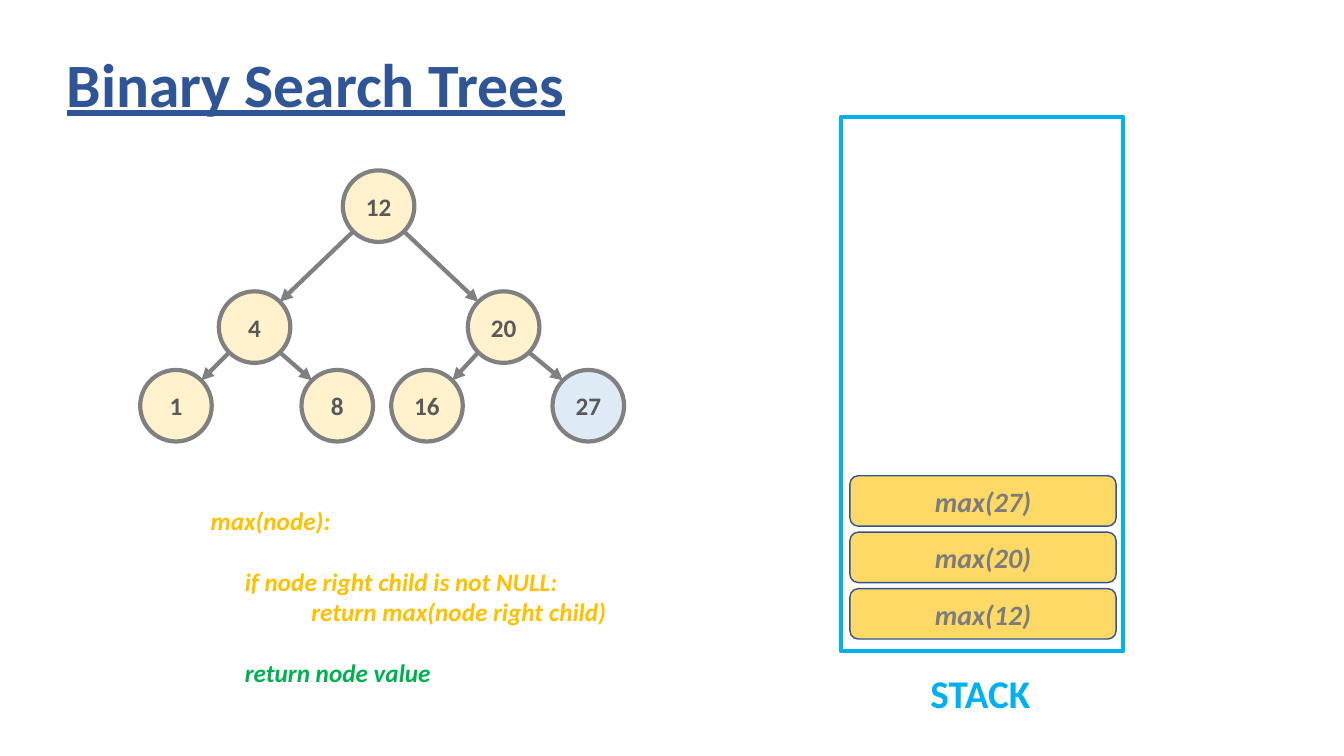
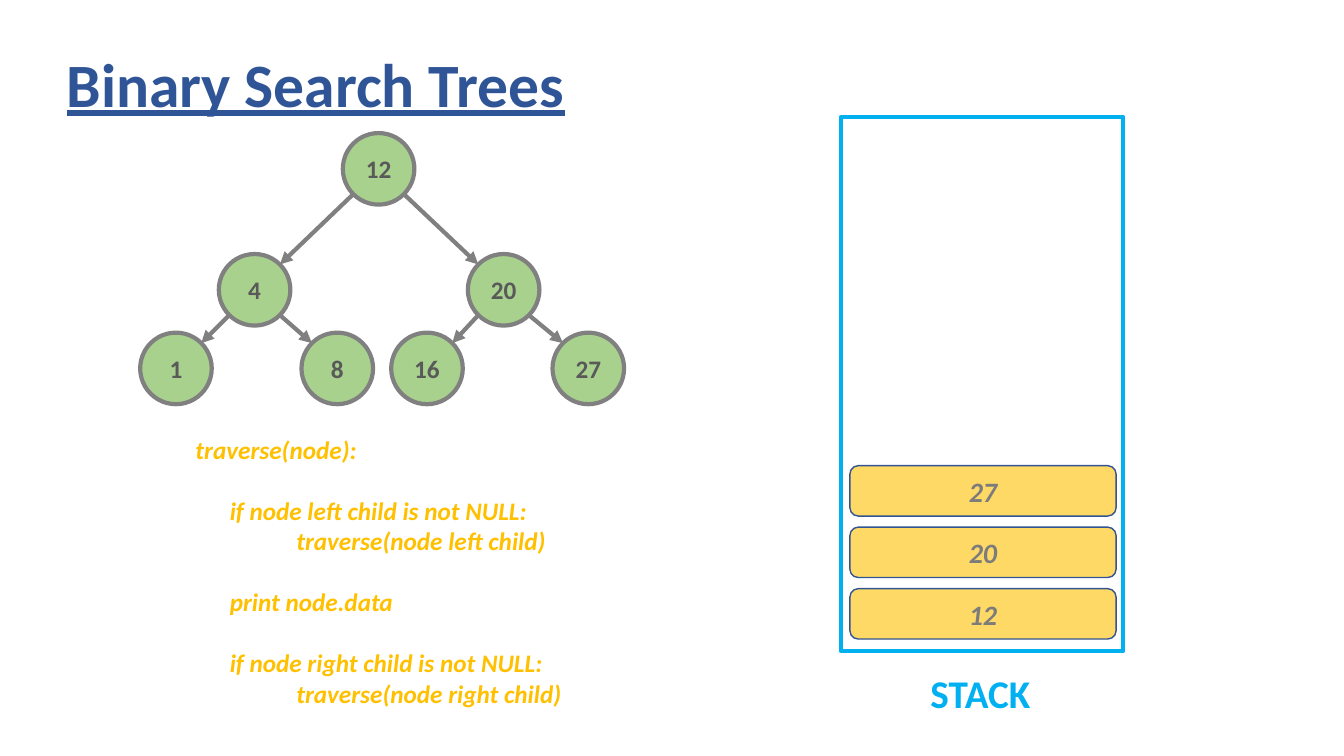
from math import sqrt

from lxml import etree
from pptx import Presentation
from pptx.dml.color import RGBColor
from pptx.enum.shapes import MSO_CONNECTOR, MSO_SHAPE
from pptx.enum.text import MSO_ANCHOR, MSO_AUTO_SIZE, PP_ALIGN
from pptx.oxml.ns import qn
from pptx.util import Inches, Pt

OVAL = MSO_SHAPE.OVAL
RECTANGLE = MSO_SHAPE.RECTANGLE
ROUNDED = MSO_SHAPE.ROUNDED_RECTANGLE
STRAIGHT = MSO_CONNECTOR.STRAIGHT
MIDDLE = MSO_ANCHOR.MIDDLE
NO_AUTOFIT = MSO_AUTO_SIZE.NONE
LEFT = PP_ALIGN.LEFT
CENTER = PP_ALIGN.CENTER

COLORS = {
    "title": "2F5597",
    "stack": "00B0F0",
    "code": "FFC000",
    "active": "00B050",
    "edge": "808080",
    "key": "595959",
    "pending": "FFF2CC",
    "current": "DEEBF7",
    "visited": "A9D18E",
    "frame": "FFD966",
    "frame_line": "325491",
    "frame_text": "7C7C7C",
}
TITLE_FONT = {"size": Pt(44), "bold": True, "underline": True}
LABEL_FONT = {"size": Pt(28), "bold": True}
CODE_FONT = {"size": Pt(18), "bold": True, "italic": True}
KEY_FONT = {"size": Pt(18), "bold": True}
FRAME_FONT = {"size": Pt(20), "bold": True, "italic": True}

NODE_SIZE = 0.71
LEVEL_OFFSETS = [0, 1.2, 1.98]
TREE = {
    12: (3.4, 0, None),
    4: (2.17, 1, 12),
    20: (4.64, 1, 12),
    1: (1.39, 2, 4),
    8: (2.99, 2, 4),
    16: (3.88, 2, 20),
    27: (5.48, 2, 20),
}
FRAME_BOTTOM_TOP = 5.84
CODE_INDENTS = [0, 0.34, 1]
BLANK_LINE = Pt(22)

SLIDES = [
    {
        "tree_top": 1.69,
        "node_color": "pending",
        "highlights": {27: "current"},
        "code_box": (1.99, 4.96, 4.17, 1.92),
        "code": [
            ("max(node):", 0, False, "code"),
            ("if node right child is not NULL:", 1, True, "code"),
            ("return max(node right child)", 2, False, "code"),
            ("return node value", 1, True, "active"),
        ],
        "frames": ["max(12)", "max(20)", "max(27)"],
        "frame_pitch": 0.56,
    },
    {
        "tree_top": 1.32,
        "node_color": "visited",
        "highlights": {},
        "code_box": (1.84, 4.26, 3.85, 2.85),
        "code": [
            ("traverse(node):", 0, False, "code"),
            ("if node left child is not NULL:", 1, True, "code"),
            ("traverse(node left child)", 2, False, "code"),
            ("print node.data", 1, True, "code"),
            ("if node right child is not NULL:", 1, True, "code"),
            ("traverse(node right child)", 2, False, "code"),
        ],
        "frames": ["12", "20", "27"],
        "frame_pitch": 0.61,
    },
]


def rgb(name):
    """Return the palette colour with the given name."""
    return RGBColor.from_string(COLORS[name])


def write(paragraph, text, font_format, color, alignment=LEFT):
    """Put one formatted run of text in a paragraph."""
    paragraph.alignment = alignment
    run = paragraph.add_run()
    run.text = text
    run.font.name = "Calibri"
    run.font.color.rgb = rgb(color)
    for attribute, value in font_format.items():
        setattr(run.font, attribute, value)


def add_title(slide, text):
    """Place and format the title placeholder."""
    title = slide.shapes.title
    box = {"left": 0.56, "top": 0.14, "width": 11.5, "height": 1.45}
    for attribute, value in box.items():
        setattr(title, attribute, Inches(value))
    title.text_frame.auto_size = NO_AUTOFIT
    title.text_frame.vertical_anchor = MIDDLE
    paragraph = title.text_frame.paragraphs[0]
    paragraph.line_spacing = 0.9
    write(paragraph, text, TITLE_FONT, "title")


def add_box(slide, kind, box, fill, line, line_width):
    """Add a preset shape, unfilled when no fill is named."""
    shape = slide.shapes.add_shape(kind, *map(Inches, box))
    shape.shadow.inherit = False
    if fill:
        shape.fill.solid()
        shape.fill.fore_color.rgb = rgb(fill)
    else:
        shape.fill.background()
    shape.line.color.rgb = rgb(line)
    shape.line.width = Pt(line_width)
    shape.text_frame.vertical_anchor = MIDDLE
    return shape


def add_text_frame(slide, box, wrap):
    """Add a text box and return its text frame."""
    text_frame = slide.shapes.add_textbox(*map(Inches, box)).text_frame
    text_frame.word_wrap = wrap
    return text_frame


def add_arrow(slide, start, end):
    """Draw an arrow from one point to another."""
    points = map(Inches, (*start, *end))
    arrow = slide.shapes.add_connector(STRAIGHT, *points)
    arrow.line.color.rgb = rgb("edge")
    arrow.line.width = Pt(3)
    properties = arrow.line._get_or_add_ln()
    etree.SubElement(properties, qn("a:tailEnd"), type="triangle")
    etree.SubElement(arrow._element.spPr, qn("a:effectLst"))


def add_tree(slide, top, node_color, highlights):
    """Draw the nodes of the tree and an arrow from each parent."""
    radius = NODE_SIZE / 2
    diagonal = radius / sqrt(2)
    centers = {}
    for key, (left, level, parent) in TREE.items():
        node_top = top + LEVEL_OFFSETS[level]
        centers[key] = x, y = left + radius, node_top + radius
        box = (left, node_top, NODE_SIZE, NODE_SIZE)
        fill = highlights.get(key, node_color)
        node = add_box(slide, OVAL, box, fill, "edge", 3)
        write(node.text_frame.paragraphs[0], str(key), KEY_FONT, "key", CENTER)
        if parent is not None:
            parent_x, parent_y = centers[parent]
            shift = diagonal if x > parent_x else -diagonal
            start = (parent_x + shift, parent_y + diagonal)
            add_arrow(slide, start, (x - shift, y - diagonal))


def add_code(slide, box, lines):
    """Write pseudocode with indents and gaps between its blocks."""
    text_frame = add_text_frame(slide, box, False)
    for index, (text, level, gap, color) in enumerate(lines):
        paragraph = text_frame.add_paragraph() if index else text_frame.paragraphs[0]
        write(paragraph, text, CODE_FONT, color)
        paragraph.space_before = BLANK_LINE if gap else Pt(0)
        properties = paragraph._p.get_or_add_pPr()
        properties.set("marL", str(Inches(CODE_INDENTS[level])))


def add_stack(slide, frames, pitch):
    """Draw the call stack with its frames from the bottom up."""
    add_box(slide, RECTANGLE, (8.34, 1.16, 2.8, 5.3), None, "stack", 3)
    label = add_text_frame(slide, (9.13, 6.59, 1.22, 0.57), True)
    write(label.paragraphs[0], "STACK", LABEL_FONT, "stack")
    for index, text in enumerate(frames):
        box = (8.43, FRAME_BOTTOM_TOP - index * pitch, 2.64, 0.5)
        frame = add_box(slide, ROUNDED, box, "frame", "frame_line", 1)
        paragraph = frame.text_frame.paragraphs[0]
        write(paragraph, text, FRAME_FONT, "frame_text", CENTER)


def main():
    """Build and save the presentation."""
    presentation = Presentation()
    presentation.slide_width = Inches(13.33)
    presentation.slide_height = Inches(7.5)
    title_only = presentation.slide_layouts[5]
    for content in SLIDES:
        slide = presentation.slides.add_slide(title_only)
        add_title(slide, "Binary Search Trees")
        add_stack(slide, content["frames"], content["frame_pitch"])
        add_code(slide, content["code_box"], content["code"])
        add_tree(slide, content["tree_top"], content["node_color"], content["highlights"])
    presentation.save("out.pptx")


if __name__ == "__main__":
    main()
